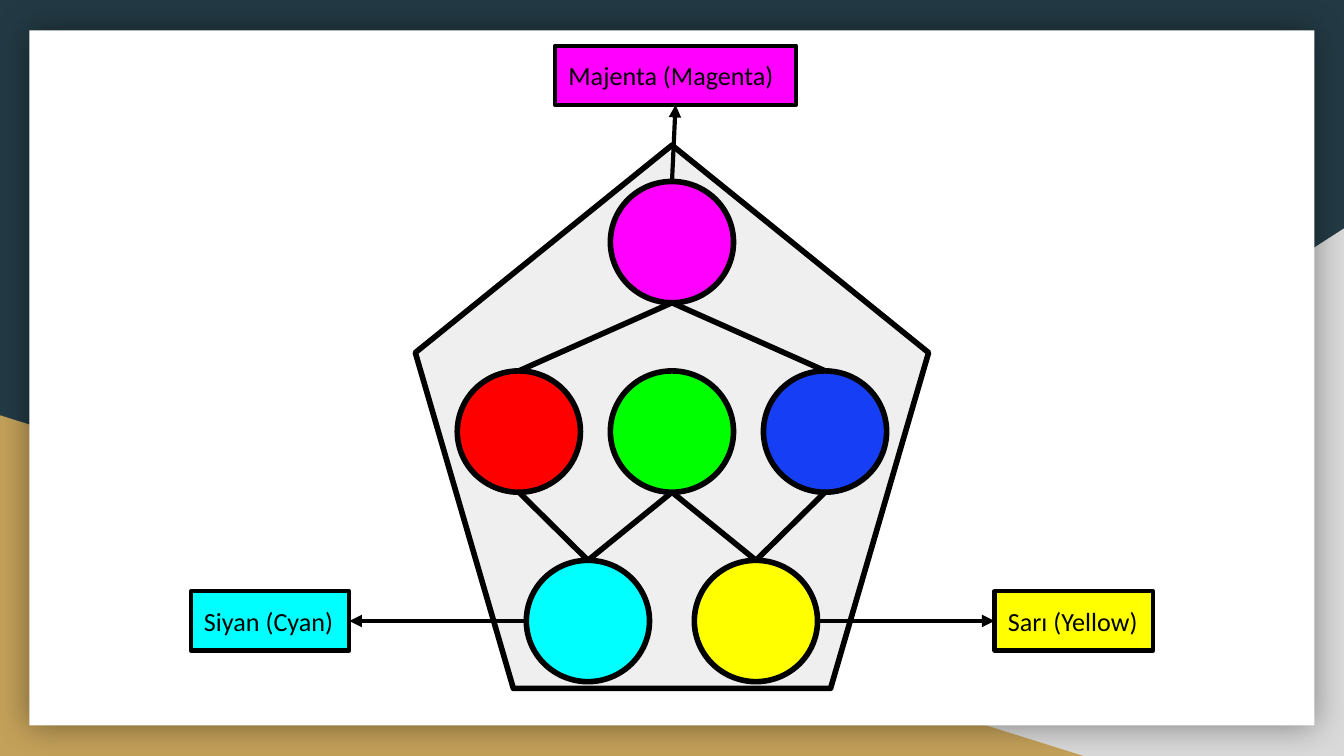
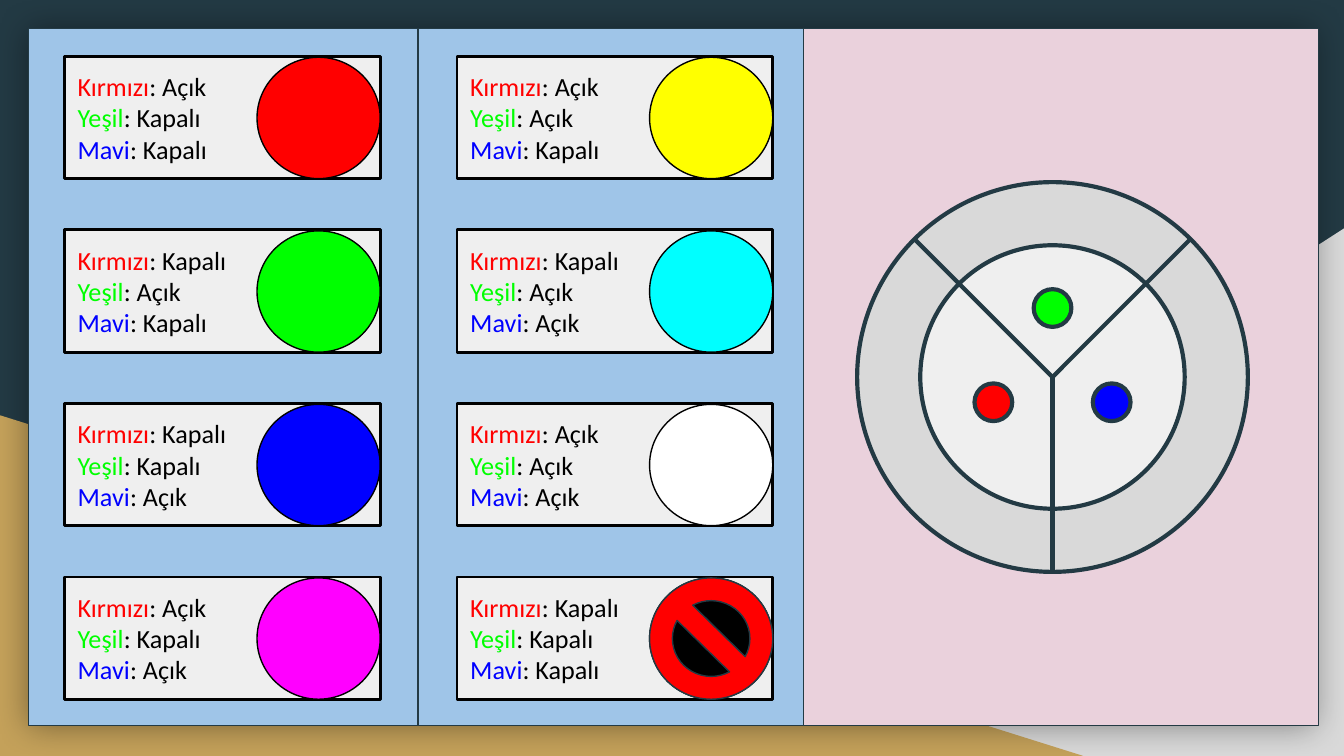
"""Builds two slides on mixing coloured light."""
from lxml.etree import SubElement
from pptx import Presentation
from pptx.dml.color import RGBColor
from pptx.enum.shapes import MSO_CONNECTOR, MSO_SHAPE as SHAPE
from pptx.enum.text import MSO_ANCHOR, MSO_AUTO_SIZE, PP_ALIGN
from pptx.oxml.ns import qn
from pptx.util import Pt

NAVY = RGBColor(0x23, 0x3A, 0x44)
GOLD = RGBColor(0xC4, 0xA1, 0x5A)
SILVER = RGBColor(0xD9, 0xD9, 0xD9)
PALE = RGBColor(0xEF, 0xEF, 0xEF)
SKY = RGBColor(0x9F, 0xC5, 0xE8)
ROSE = RGBColor(0xEA, 0xD1, 0xDC)
BLACK = RGBColor(0x00, 0x00, 0x00)
WHITE = RGBColor(0xFF, 0xFF, 0xFF)
RED = RGBColor(0xFF, 0x00, 0x00)
GREEN = RGBColor(0x00, 0xFF, 0x00)
BLUE = RGBColor(0x00, 0x00, 0xFF)
ROYAL = RGBColor(0x16, 0x3E, 0xF5)
CYAN = RGBColor(0x00, 0xFF, 0xFF)
MAGENTA = RGBColor(0xFF, 0x00, 0xFF)
YELLOW = RGBColor(0xFF, 0xFF, 0x00)

FONT = "Calibri"
DOT_W, DOT_H = 66, 65
LAMPS = (("Kırmızı", RED), ("Yeşil", GREEN), ("Mavi", BLUE))


def style_line(sp, color, width):
    """Give a shape or connector a solid line with round joins."""
    sp.line.color.rgb = color
    sp.line.width = Pt(width)
    ln = sp.element.spPr.find(qn("a:ln"))
    SubElement(ln, qn("a:round"))
    return ln


def add_shape(slide, kind, box, fill, line=None, width=0.75):
    """Add a flat filled preset shape; box is left, top, width, height."""
    sp = slide.shapes.add_shape(kind, *map(Pt, box))
    sp.shadow.inherit = False
    sp.fill.solid()
    sp.fill.fore_color.rgb = fill
    if line is None:
        sp.line.fill.background()
    else:
        style_line(sp, line, width)
    return sp


def add_line(slide, start, end, color, width, arrow=False):
    """Draw a straight line, with an arrowhead at its end on request."""
    cxn = slide.shapes.add_connector(
        MSO_CONNECTOR.STRAIGHT, *map(Pt, (*start, *end)))
    ln = style_line(cxn, color, width)
    if arrow:
        SubElement(ln, qn("a:tailEnd"), type="triangle")
    SubElement(cxn.element.spPr, qn("a:effectLst"))


def add_text(sp, lines):
    """Write lines, each a list of (text, colour) runs, into a shape."""
    tf = sp.text_frame
    tf.word_wrap = True
    tf.auto_size = MSO_AUTO_SIZE.SHAPE_TO_FIT_TEXT
    tf.vertical_anchor = MSO_ANCHOR.MIDDLE
    tf.margin_left = tf.margin_right = Pt(7.2)
    tf.margin_top = tf.margin_bottom = Pt(7.2)
    for i, runs in enumerate(lines):
        p = tf.add_paragraph() if i else tf.paragraphs[0]
        p.alignment = PP_ALIGN.LEFT
        for text, color in runs:
            r = p.add_run()
            r.text = text
            r.font.name = FONT
            r.font.size = Pt(14)
            r.font.color.rgb = color


def build_backdrop(prs, layout):
    """Put the background, corner triangles and white panel on the layout."""
    prs.slide_master.background.fill.solid()
    prs.slide_master.background.fill.fore_color.rgb = NAVY
    tree = layout.shapes.element
    for ph in list(layout.placeholders):
        tree.remove(ph.element)
    slide = prs.slides.add_slide(layout)
    right = add_shape(slide, SHAPE.RIGHT_TRIANGLE,
                      (282.2, 122.4, 437.8, 282.6), SILVER)
    right.element.spPr.find(qn("a:xfrm")).set("flipH", "1")
    left = add_shape(slide, SHAPE.RIGHT_TRIANGLE,
                     (0, 222.5, 580.3, 182.5), GOLD)
    panel = add_shape(slide, SHAPE.RECTANGLE,
                      (15.8, 16.3, 688.4, 372.4), WHITE)
    effects = panel.element.spPr.find(qn("a:effectLst"))
    shadow = SubElement(effects, qn("a:outerShdw"), blurRad=str(Pt(18)),
                        dist="0", dir="0", algn="ctr", rotWithShape="0")
    color = SubElement(shadow, qn("a:srgbClr"), val=str(BLACK))
    SubElement(color, qn("a:alpha"), val="40000")
    for sp in (right, left, panel):
        tree.append(sp.element)
    return slide


def build_pentagon(slide, box):
    """Draw the pentagon of linked colours and its three labels."""
    x, y, w, h = box
    mid = x + w / 2
    add_shape(slide, SHAPE.REGULAR_PENTAGON, box, PALE, BLACK, 3)
    dots = {MAGENTA: (0, 0), RED: (-82, 1), GREEN: (0, 1), ROYAL: (82, 1),
            CYAN: (-45, 2), YELLOW: (45, 2)}
    tops = {}
    for color, (dx, row) in dots.items():
        cx, top = mid + dx, y + 19.4 + row * 101.5
        tops[color] = cx, top
        add_shape(slide, SHAPE.OVAL, (cx - DOT_W / 2, top, DOT_W, DOT_H),
                  color, BLACK, 3)
    links = ((MAGENTA, RED), (MAGENTA, ROYAL), (RED, CYAN), (GREEN, CYAN),
             (GREEN, YELLOW), (ROYAL, YELLOW))
    for upper, lower in links:
        cx, top = tops[upper]
        add_line(slide, (cx, top + DOT_H), tops[lower], BLACK, 3)

    label_h, side_w, top_w = 31.7, 85, 129
    side_y = tops[CYAN][1] + DOT_H / 2
    left_end, right_end = x - 35.3, x + w + 35.3
    label_top = y - 53.3
    labels = (
        ("Siyan (Cyan)", CYAN, (left_end - side_w, side_y - label_h / 2, side_w),
         (tops[CYAN][0] - DOT_W / 2, side_y), (left_end, side_y)),
        ("Sarı (Yellow)", YELLOW, (right_end, side_y - label_h / 2, side_w),
         (tops[YELLOW][0] + DOT_W / 2, side_y), (right_end, side_y)),
        ("Majenta (Magenta)", MAGENTA, (mid + 1.9 - top_w / 2, label_top, top_w),
         tops[MAGENTA], (mid + 1.9, label_top + label_h)),
    )
    for text, color, place, start, end in labels:
        add_line(slide, start, end, BLACK, 2.25, arrow=True)
        sp = add_shape(slide, SHAPE.RECTANGLE, (*place, label_h),
                       color, BLACK, 2.25)
        add_text(sp, [[(text, BLACK)]])


def build_card(slide, box, lamps):
    """Draw one card: the state of each lamp and the mixed colour."""
    x, y, w, h = box
    sp = add_shape(slide, SHAPE.RECTANGLE, box, PALE, BLACK, 1.5)
    add_text(sp, [[(name, color), (": Açık" if on else ": Kapalı", BLACK)]
                  for (name, color), on in zip(LAMPS, lamps)])
    dot = (x + w - DOT_W, y + 0.5, DOT_W, DOT_H)
    mix = RGBColor(*(255 * on for on in lamps))
    add_shape(slide, SHAPE.OVAL, dot, mix, BLACK)
    if not any(lamps):
        sign = add_shape(slide, SHAPE.NO_SYMBOL, dot, RED, NAVY)
        sign.adjustments[0] = 0.188


def build_cards(slide, box):
    """Lay out the cards in two columns of four inside the box."""
    x, y, w, h = box
    card_w, card_h = 169.2, 65.5
    columns = (((1, 0, 0), (0, 1, 0), (0, 0, 1), (1, 0, 1)),
               ((1, 1, 0), (0, 1, 1), (1, 1, 1), (0, 0, 0)))
    step_x, step_y = w - card_w, (h - card_h) / 3
    for col, cards in enumerate(columns):
        for row, lamps in enumerate(cards):
            place = (x + col * step_x, y + row * step_y, card_w, card_h)
            build_card(slide, place, lamps)


def build_wheel(slide, box):
    """Draw the three-part wheel with a lamp in each part."""
    x, y, w, h = box
    cx, cy = x + w / 2, y + h / 2
    inner_w, inner_h, lamp = 144.7, 143.3, 20.2
    add_shape(slide, SHAPE.OVAL,
              (cx - inner_w / 2, cy - inner_h / 2, inner_w, inner_h),
              PALE, NAVY, 2.25)
    ring = add_shape(slide, SHAPE.DONUT, box, SILVER, NAVY, 2.25)
    ring.adjustments[0] = 0.162
    for dx, dy in ((-74, -74), (74, -74), (0, h / 2)):
        add_line(slide, (cx + dx, cy + dy), (cx, cy), NAVY, 2.25)
    for color, dx, dy in ((GREEN, 0, -37), (BLUE, 31.7, 13.5), (RED, -31.7, 13.5)):
        add_shape(slide, SHAPE.OVAL,
                  (cx + dx - lamp / 2, cy + dy - lamp / 2, lamp, lamp),
                  color, NAVY, 2.25)


def build_mixing(slide):
    """Fill the slide with three panels, the cards and the wheel."""
    for left, width, fill in ((15.4, 216, SKY), (430.5, 275.8, ROSE),
                              (223.9, 206.6, SKY)):
        add_shape(slide, SHAPE.RECTANGLE, (left, 15.3, width, 373.5), fill, NAVY)
    build_cards(slide, (34.5, 30.2, 379.5, 344.4))
    build_wheel(slide, (459.2, 97.6, 209.3, 208.8))


def main():
    """Build and save the presentation."""
    prs = Presentation()
    prs.slide_width, prs.slide_height = Pt(720), Pt(405)
    layout = prs.slide_layouts[6]
    build_pentagon(build_backdrop(prs, layout), (222.5, 77.8, 275, 291))
    build_mixing(prs.slides.add_slide(layout))
    prs.save("out.pptx")


if __name__ == "__main__":
    main()
